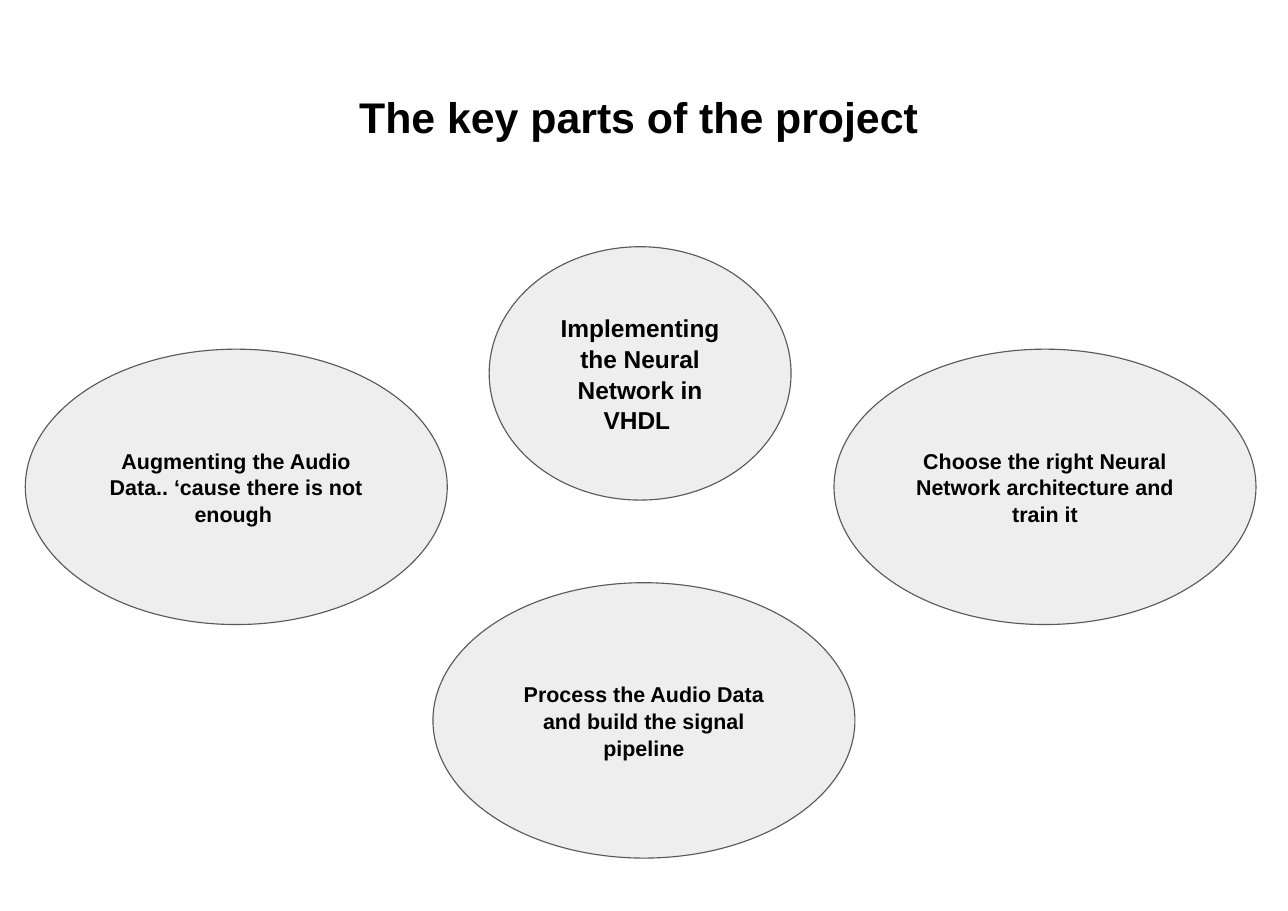
from pptx import Presentation
from pptx import util as u
from pptx.dml import color
from pptx.enum import shapes, text

FONT = "Arial"
INSET = u.Pt(7.2)
PART_SIZE = (275.76, 180)
PARTS = [
    ("Augmenting the Audio Data.. ‘cause there is not enough ", (16.56, 228.24), PART_SIZE, 14),
    ("Process the Audio Data and build the signal pipeline", (282.96, 380.88), PART_SIZE, 14),
    ("Choose the right Neural Network architecture and train it", (545.04, 228.24), PART_SIZE, 14),
    ("Implementing the Neural Network in VHDL ", (319.68, 161.28), (197.28, 165.6), 16),
]


def rgb(value):
    return color.RGBColor.from_string(value)


def write(frame, wording, size, anchor):
    frame.text = wording
    frame.word_wrap = True
    frame.auto_size = text.MSO_AUTO_SIZE.NONE
    frame.vertical_anchor = anchor
    frame.margin_left = frame.margin_right = INSET
    frame.margin_top = frame.margin_bottom = INSET
    paragraph = frame.paragraphs[0]
    paragraph.alignment = text.PP_ALIGN.CENTER
    font = paragraph.runs[0].font
    font.name = FONT
    font.size = u.Pt(size)
    font.bold = True
    font.color.rgb = rgb("000000")


def add_heading(slide, wording):
    heading = slide.shapes.title
    heading.left, heading.top = u.Pt(28.8), u.Pt(51.84)
    heading.width, heading.height = u.Pt(784.8), u.Pt(66.24)
    write(heading.text_frame, wording, 28, text.MSO_ANCHOR.TOP)


def add_part(slide, wording, position, extent, size):
    box = [u.Pt(length) for length in position + extent]
    part = slide.shapes.add_shape(shapes.MSO_SHAPE.OVAL, *box)
    part.shadow.inherit = False
    part.fill.solid()
    part.fill.fore_color.rgb = rgb("EEEEEE")
    part.line.color.rgb = rgb("595959")
    part.line.width = u.Pt(0.75)
    write(part.text_frame, wording, size, text.MSO_ANCHOR.MIDDLE)
    part.text_frame.paragraphs[0].line_spacing = 1.04


def main():
    deck = Presentation()
    deck.slide_width, deck.slide_height = u.Pt(841.68), u.Pt(595.44)
    slide = deck.slides.add_slide(deck.slide_layouts[5])
    add_heading(slide, "The key parts of the project ")
    for part in PARTS:
        add_part(slide, *part)
    deck.save("out.pptx")


if __name__ == "__main__":
    main()
